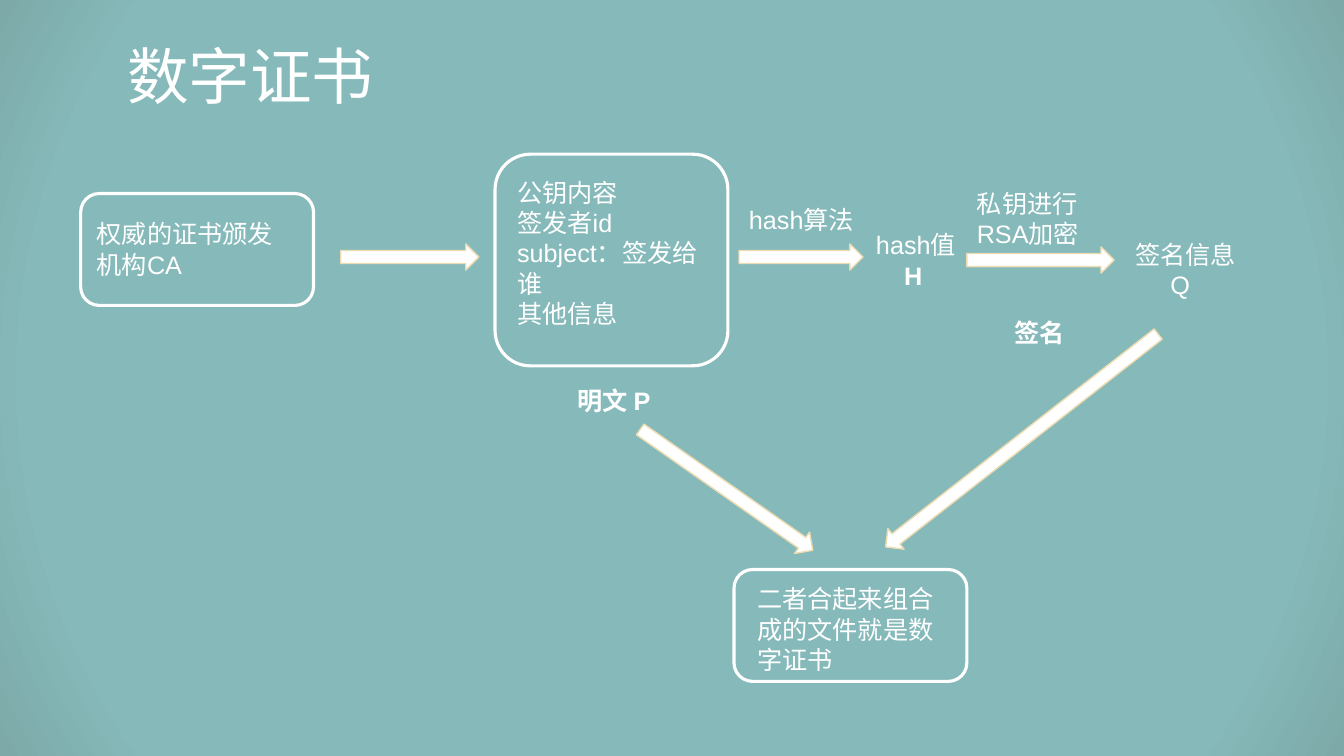
from pptx import Presentation, util as u
from pptx.dml.color import RGBColor
from pptx.enum import shapes, text
from pptx.oxml import parse_xml
from pptx.oxml.ns import nsdecls

WHITE = "FFFFFF"
ARROW_EDGE = "EDDCB1"
BACKGROUND = [(0, "87BBB9"), (83, "86B9BA"), (100, "7DAAA9")]


def colour(value):
    """Turn a hex string into a colour."""
    return RGBColor.from_string(value)


def write(para, words, size=18, bold=None, indent=0, font="Arial", ink=WHITE):
    """Add formatted words to a paragraph."""
    span = para.add_run()
    span.text = words
    span.font.name = font
    span.font.size = u.Pt(size)
    span.font.bold = bold
    span.font.color.rgb = colour(ink)
    if indent:
        properties = para._p.get_or_add_pPr()
        properties.set("marL", str(u.Inches(indent)))
        properties.set("indent", "0")


class Diagram:
    """Draw the parts of the diagram on one slide in one style."""

    def __init__(self, slide):
        """Keep the slide to draw on."""
        self.slide = slide

    def background(self, stops):
        """Fill the background with a radial gradient."""
        self.slide.background.fill.solid()
        solid = self.slide.element.xpath(".//p:bgPr/a:solidFill")[0]
        marks = "".join(
            f'<a:gs pos="{place * 1000}"><a:srgbClr val="{value}"/></a:gs>'
            for place, value in stops
        )
        gradient = parse_xml(
            f'<a:gradFill {nsdecls("a")} rotWithShape="1"><a:gsLst>{marks}</a:gsLst>'
            '<a:path path="circle"><a:fillToRect l="50000" t="50000" r="50000" b="50000"/>'
            "</a:path></a:gradFill>"
        )
        solid.getparent().replace(solid, gradient)

    def title(self, words, left, top, width, height):
        """Place and format the slide title."""
        box = self.slide.shapes.title
        box.left, box.top = u.Inches(left), u.Inches(top)
        box.width, box.height = u.Inches(width), u.Inches(height)
        frame = box.text_frame
        frame.auto_size = text.MSO_AUTO_SIZE.NONE
        frame.vertical_anchor = text.MSO_ANCHOR.MIDDLE
        para = frame.paragraphs[0]
        para.alignment = text.PP_ALIGN.LEFT
        para.line_spacing = 0.9
        write(para, words, size=44)

    def shape(self, kind, left, top, width, height, edge, weight):
        """Add a preset shape with an outline and no shadow."""
        shape = self.slide.shapes.add_shape(
            kind, u.Inches(left), u.Inches(top), u.Inches(width), u.Inches(height)
        )
        shape.shadow.inherit = False
        shape.line.color.rgb = colour(edge)
        shape.line.width = u.Pt(weight)
        return shape

    def frame(self, left, top, height, width=2.31):
        """Add an unfilled rounded frame."""
        kind = shapes.MSO_SHAPE.ROUNDED_RECTANGLE
        self.shape(kind, left, top, width, height, WHITE, 2.25).fill.background()

    def arrow(self, left, top, width, turn=0):
        """Add a white block arrow, turned by some degrees."""
        kind = shapes.MSO_SHAPE.RIGHT_ARROW
        arrow = self.shape(kind, left, top, width, 0.26, ARROW_EDGE, 1)
        arrow.fill.solid()
        arrow.fill.fore_color.rgb = colour(WHITE)
        arrow.rotation = turn

    def label(self, left, top, width, height, *lines):
        """Add a text box with one paragraph for each line."""
        box = self.slide.shapes.add_textbox(
            u.Inches(left), u.Inches(top), u.Inches(width), u.Inches(height)
        )
        frame = box.text_frame
        frame.word_wrap = True
        frame.auto_size = text.MSO_AUTO_SIZE.SHAPE_TO_FIT_TEXT
        for number, (words, style) in enumerate(lines):
            para = frame.add_paragraph() if number else frame.paragraphs[0]
            write(para, words, **style)


def main():
    """Build the digital certificate slide."""
    deck = Presentation()
    deck.slide_width, deck.slide_height = u.Inches(13.33), u.Inches(7.5)
    diagram = Diagram(deck.slides.add_slide(deck.slide_layouts[5]))
    plain, bold = {}, {"bold": True}

    diagram.background(BACKGROUND)
    diagram.title("数字证书", 1.16, 0.26, 11.5, 1.06)

    for left, top, height in [(0.8, 1.92, 1.11), (4.91, 1.53, 2.1), (7.28, 5.65, 1.11)]:
        diagram.frame(left, top, height)

    for left, top, width, turn in [
        (3.38, 2.42, 1.37, 0),
        (7.33, 2.42, 1.23, 0),
        (9.59, 2.45, 1.46, 0),
        (6.16, 4.73, 2.09, 35),
        (8.42, 4.24, 3.43, 142),
    ]:
        diagram.arrow(left, top, width, turn)

    diagram.label(0.86, 2.12, 2.19, 0.71, ("权威的证书颁发机构CA", plain))
    certificate = ["公钥内容", "签发者id", "subject：签发给谁", "其他信息"]
    diagram.label(5.03, 1.71, 2.19, 1.92, *[(line, plain) for line in certificate])
    diagram.label(5.63, 3.77, 0.92, 0.71, ("明文 P", bold))
    diagram.label(7.33, 1.98, 1.37, 0.4, ("hash算法", plain))
    diagram.label(8.59, 2.23, 1.37, 0.71, ("hash值", plain), ("H", {"bold": True, "indent": 0.28}))
    diagram.label(11.16, 2.32, 1.76, 0.71, ("签名信息", plain), ("Q", {"indent": 0.35}))
    diagram.label(9.59, 1.82, 1.46, 0.71, ("私钥进行RSA加密", plain))
    diagram.label(9.96, 3.1, 1.76, 0.4, ("签名", bold))
    diagram.label(7.41, 5.74, 2.19, 1.01, ("二者合起来组合成的文件就是数字证书", plain))

    deck.save("out.pptx")


if __name__ == "__main__":
    main()
